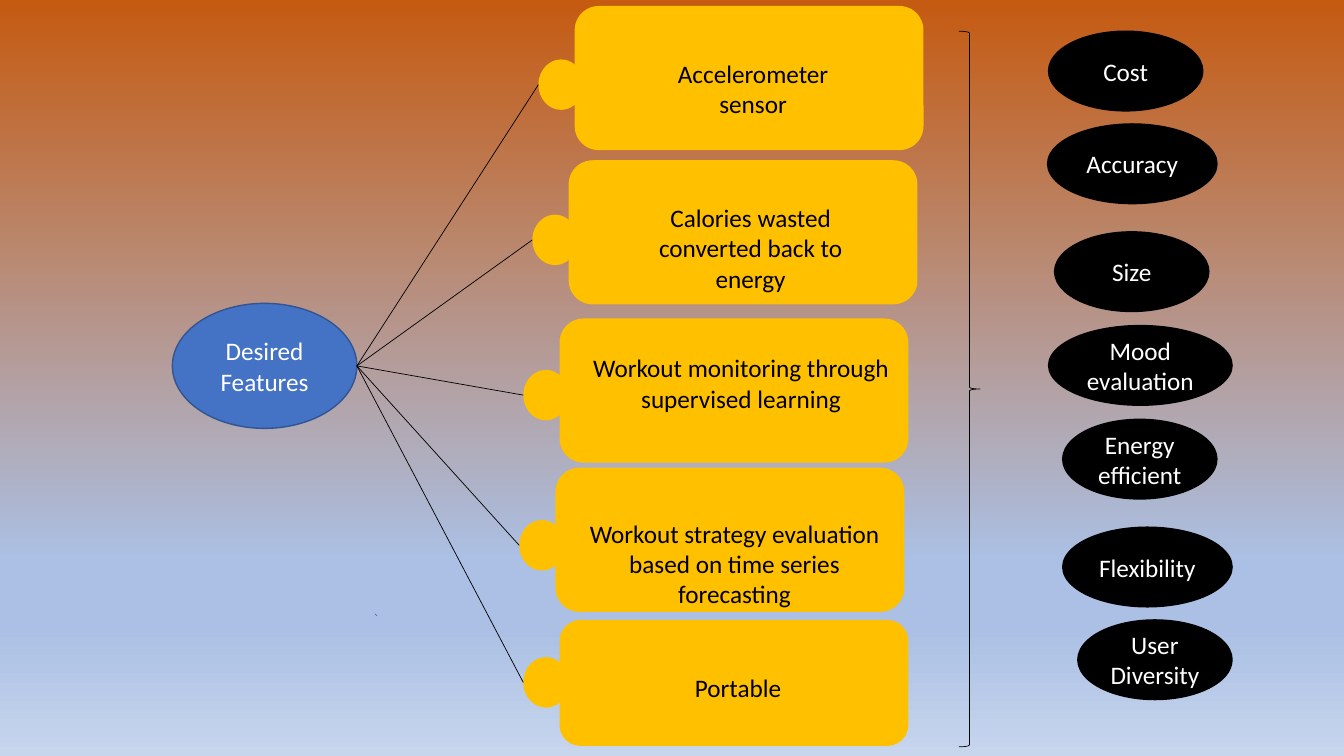
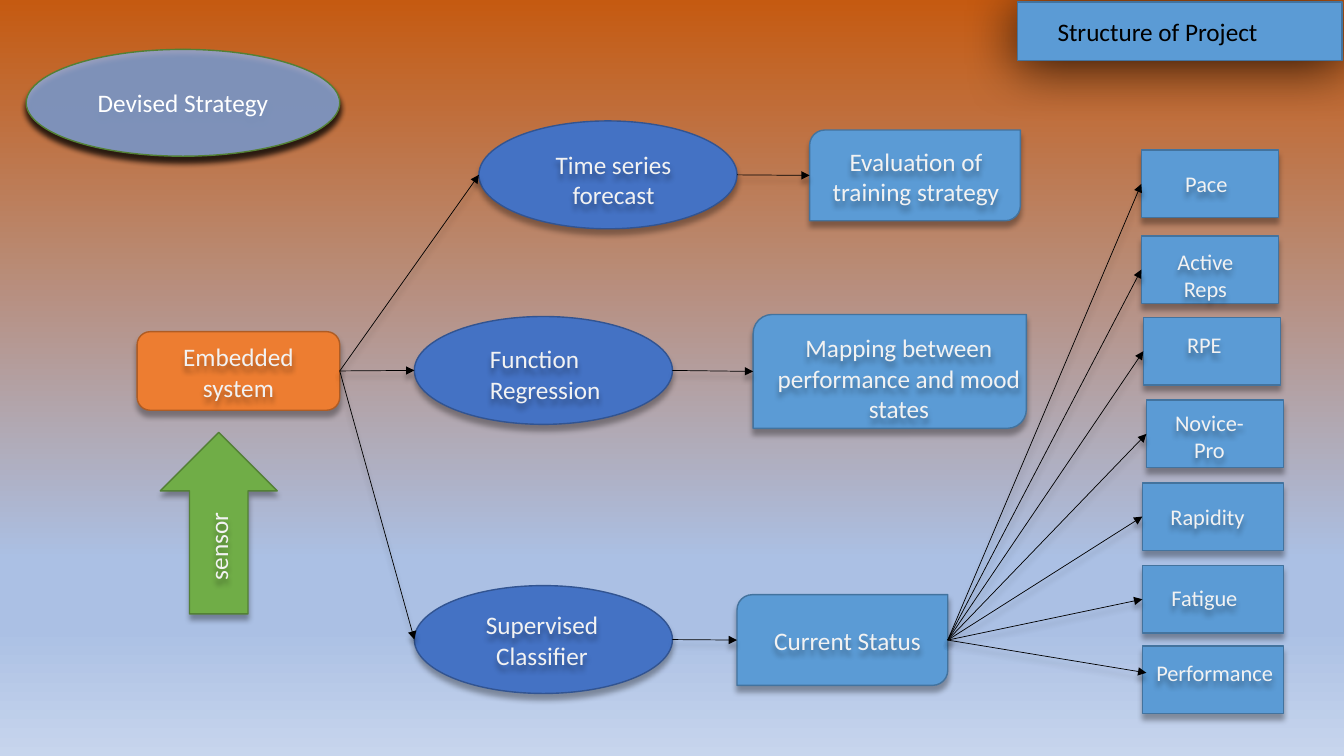
"""Build two slides: desired features and the project structure."""
import lxml.etree
import pptx
import pptx.dml.color
import pptx.enum.shapes
import pptx.enum.text
import pptx.oxml.ns
import pptx.util

RGB = pptx.dml.color.RGBColor
Inches = pptx.util.Inches
SHAPE = pptx.enum.shapes.MSO_SHAPE
ALIGN = pptx.enum.text.PP_ALIGN
qn = pptx.oxml.ns.qn

BLACK, WHITE, PALE = RGB(0, 0, 0), RGB(255, 255, 255), RGB(0xF2, 0xF2, 0xF2)
GOLD = RGB(0xFF, 0xC0, 0x00)
BLUE, BLUE_EDGE = RGB(0x44, 0x72, 0xC4), RGB(0x32, 0x54, 0x91)
SKY, SKY_EDGE = RGB(0x5B, 0x9B, 0xD5), RGB(0x43, 0x73, 0x9E)
ORANGE, ORANGE_EDGE = RGB(0xED, 0x7D, 0x31), RGB(0xAF, 0x5C, 0x24)
GREEN, GREEN_EDGE = RGB(0x70, 0xAD, 0x47), RGB(0x53, 0x80, 0x35)
PERIWINKLE = RGB(0x8F, 0xAA, 0xDC)
BACKDROP = [(0, RGB(0xC5, 0x5A, 0x11)), (74, RGB(0xAB, 0xC0, 0xE4)),
            (83, RGB(0xAB, 0xC0, 0xE4)), (100, RGB(0xC7, 0xD5, 0xED))]

FONT = "Calibri"
SOFT, STRONG, WIDE = (33, 4, 4), (92, 4, 4), (79, 40, 4)

FEATURE_WIDTH = 3.46
DOT_WIDTH, DOT_HEIGHT, DOT_REACH = 0.45, 0.5, 0.36
HUB = (1.71, 3.01, 1.83, 1.24)
FEATURES = [
    ("Accelerometer\nsensor", 5.7, 0.06, 1.43, 0.84, (6.31, 0.53, 2.32, 0.71)),
    ("Calories wasted converted back to energy", 5.64, 1.59, 1.43, 2.38,
     (6.32, 1.96, 2.25, 1.01)),
    ("Workout monitoring through supervised learning", 5.55, 3.16, 1.43, 3.92,
     (5.62, 3.45, 3.46, 0.71)),
    ("Workout strategy evaluation based on time series forecasting", 5.51, 4.64, 1.43, 5.41,
     (5.69, 5.09, 3.19, 1.01)),
    ("Portable", 5.55, 6.15, 1.25, 6.77, (6.16, 6.62, 2.32, 0.4)),
]
QUALITY_HEIGHT = 0.79
QUALITIES = [
    ("Cost", 10.4, 0.31, 1.53), ("Accuracy", 10.39, 1.23, 1.68),
    ("Size", 10.46, 2.3, 1.53), ("Mood evaluation", 10.4, 3.23, 1.82),
    ("Energy efficient", 10.54, 4.16, 1.53), ("Flexibility", 10.54, 5.23, 1.68),
    ("User Diversity", 10.69, 6.15, 1.53),
]

SYSTEM = (1.36, 3.29, 2.01, 0.78)
METHOD_SIZE = (2.56, 1.07)
BRANCHES = [
    (("Time series forecast", 4.75, 1.2, (5.31, 1.43, 1.55, 0.71), ALIGN.CENTER),
     ("Evaluation of training strategy", (8.03, 1.29, 2.09, 0.9),
      (8.12, 1.4, 1.93, 0.71), ALIGN.CENTER)),
    (("Function Regression", 4.11, 3.14, (4.76, 3.36, 1.68, 0.71), ALIGN.LEFT),
     ("Mapping between performance and mood states", (7.47, 3.12, 2.71, 1.13),
      (7.59, 3.25, 2.65, 1.01), ALIGN.CENTER)),
    (("Supervised Classifier", 4.11, 5.81, (4.43, 6, 1.89, 0.71), ALIGN.CENTER),
     ("Current Status", (7.31, 5.9, 2.09, 0.9), (7.58, 6.15, 1.66, 0.4), ALIGN.LEFT)),
]
STATUS_HEIGHT = 0.67
STATUSES = [
    ("Pace", 11.32, 1.49, 1.36, (11.47, 1.64, 0.99, 0.37), ALIGN.CENTER),
    ("Active Reps", 11.32, 2.34, 1.36, (11.46, 2.41, 0.99, 0.64), ALIGN.CENTER),
    ("RPE", 11.34, 3.15, 1.36, (11.45, 3.24, 0.99, 0.37), ALIGN.CENTER),
    ("Novice-Pro", 11.37, 3.97, 1.36, (11.5, 4.01, 0.99, 0.64), ALIGN.CENTER),
    ("Rapidity", 11.33, 4.79, 1.4, (11.51, 4.94, 1.01, 0.37), ALIGN.LEFT),
    ("Fatigue", 11.33, 5.61, 1.4, (11.52, 5.75, 0.99, 0.37), ALIGN.LEFT),
    ("Performance", 11.33, 6.41, 1.4, (11.37, 6.49, 1.4, 0.37), ALIGN.LEFT),
]
TIP_SHIFTS = {"Performance": (0.04, -0.07)}


def add_element(parent, tag, **attributes):
    return lxml.etree.SubElement(parent, qn(tag), attributes)


def add_color(parent, color, alpha=None):
    node = add_element(parent, "a:srgbClr", val=str(color))
    if alpha is not None:
        add_element(node, "a:alpha", val=str(alpha * 1000))


def set_shadow(item, shadow):
    effects = add_element(item.element.spPr, "a:effectLst")
    if shadow:
        alpha, blur, distance = shadow
        outer = add_element(effects, "a:outerShdw", blurRad=str(pptx.util.Pt(blur)),
                            dist=str(pptx.util.Pt(distance)), dir="5400000",
                            algn="t", rotWithShape="0")
        add_color(outer, BLACK, alpha)


def write(box, text, color, size=18, align=ALIGN.CENTER):
    frame = box.text_frame
    frame.word_wrap = True
    frame.text = text
    for para in frame.paragraphs:
        para.alignment = align
        para.font.name = FONT
        para.font.size = pptx.util.Pt(size)
        para.font.color.rgb = color


def add_box(page, kind, place, fill=None, edge=None, shadow=None, text=None,
            edge_width=1, alpha=None):
    box = page.shapes.add_shape(kind, *map(Inches, place))
    if fill is None:
        box.fill.background()
    else:
        box.fill.solid()
        box.fill.fore_color.rgb = fill
    if alpha is not None:
        color = box.element.spPr.find(qn("a:solidFill"))[0]
        add_element(color, "a:alpha", val=str(alpha * 1000))
    if edge is None:
        box.line.fill.background()
    else:
        box.line.color.rgb = edge
        box.line.width = pptx.util.Pt(edge_width)
    set_shadow(box, shadow)
    if text:
        write(box, text, WHITE)


def add_label(page, text, place, color=PALE, size=18, align=ALIGN.CENTER,
              shadow=None, rotation=0):
    box = page.shapes.add_textbox(*map(Inches, place))
    write(box, text, color, size, align)
    box.text_frame.auto_size = pptx.enum.text.MSO_AUTO_SIZE.SHAPE_TO_FIT_TEXT
    box.rotation = rotation
    set_shadow(box, shadow)


def add_line(page, start, end, color=BLACK, arrow=False):
    line = page.shapes.add_connector(pptx.enum.shapes.MSO_CONNECTOR.STRAIGHT,
                                     *map(Inches, (*start, *end)))
    line.line.color.rgb = color
    line.line.width = pptx.util.Pt(0.5)
    if arrow:
        add_element(line.line._get_or_add_ln(), "a:tailEnd", type="triangle")
    set_shadow(line, SOFT if arrow else None)


def left_middle(place):
    left, top, _, height = place
    return left, top + height / 2


def right_middle(place):
    left, top, width, height = place
    return left + width, top + height / 2


def add_page(deck):
    page = deck.slides.add_slide(deck.slide_layouts[6])
    fill = page.background.fill
    fill.gradient()
    fill.gradient_angle = 270
    stops = page.element.find(".//" + qn("a:gsLst"))
    for stop in list(stops):
        stops.remove(stop)
    for position, color in BACKDROP:
        add_color(add_element(stops, "a:gs", pos=str(position * 1000)), color)
    return page


def build_features(page):
    add_box(page, SHAPE.OVAL, HUB, BLUE, BLUE_EDGE, text="Desired Features")
    for text, left, top, height, dot_middle, label in FEATURES:
        dot = (left - DOT_REACH, dot_middle - DOT_HEIGHT / 2, DOT_WIDTH, DOT_HEIGHT)
        add_box(page, SHAPE.OVAL, dot, GOLD)
        add_box(page, SHAPE.ROUNDED_RECTANGLE, (left, top, FEATURE_WIDTH, height), GOLD)
        add_label(page, text, label, BLACK)
        add_line(page, right_middle(HUB), left_middle(dot))
    add_line(page, (3.72, 6.09), (3.74, 6.11), BLUE)
    add_box(page, SHAPE.RIGHT_BRACE, (9.51, 0.31, 0.21, 7.1), edge=BLACK, edge_width=0.5)
    for text, left, top, width in QUALITIES:
        add_box(page, SHAPE.OVAL, (left, top, width, QUALITY_HEIGHT), BLACK, BLACK, text=text)


def build_structure(page):
    add_box(page, SHAPE.OVAL, (0.26, 0.49, 3.11, 1.06), PERIWINKLE, GREEN_EDGE, STRONG,
            "Devised Strategy", alpha=83)
    add_box(page, SHAPE.ROUNDED_RECTANGLE, SYSTEM, ORANGE, ORANGE_EDGE, SOFT)
    add_label(page, "Embedded system", (1.6, 3.34, 1.53, 0.71), shadow=SOFT)
    add_box(page, SHAPE.UP_ARROW, (1.59, 4.29, 1.16, 1.8), GREEN, GREEN_EDGE, SOFT)
    add_label(page, "sensor", (1.63, 5.12, 1.07, 0.4), align=ALIGN.LEFT,
              shadow=SOFT, rotation=270)
    for (method, left, top, method_label, method_align), outcome in BRANCHES:
        result, result_place, result_label, result_align = outcome
        method_place = (left, top, *METHOD_SIZE)
        add_box(page, SHAPE.OVAL, method_place, BLUE, BLUE_EDGE, SOFT)
        add_box(page, SHAPE.ROUND_2_DIAG_RECTANGLE, result_place, SKY, SKY_EDGE, SOFT)
        add_line(page, right_middle(SYSTEM), left_middle(method_place), arrow=True)
        add_line(page, right_middle(method_place), left_middle(result_place), arrow=True)
        add_label(page, method, method_label, align=method_align, shadow=SOFT)
        add_label(page, result, result_label, align=result_align, shadow=SOFT)
    current_status = BRANCHES[-1][1][1]
    for text, left, top, width, label, align in STATUSES:
        place = (left, top, width, STATUS_HEIGHT)
        add_box(page, SHAPE.RECTANGLE, place, SKY, SKY_EDGE, SOFT)
        tip_x, tip_y = left_middle(place)
        shift_x, shift_y = TIP_SHIFTS.get(text, (0, 0))
        add_line(page, right_middle(current_status), (tip_x + shift_x, tip_y + shift_y),
                 arrow=True)
        add_label(page, text, label, size=16, align=align, shadow=SOFT)
    add_box(page, SHAPE.RECTANGLE, (10.09, 0.02, 3.22, 0.58), SKY, SKY_EDGE, WIDE)
    add_label(page, "Structure of Project", (10.39, 0.11, 2.91, 0.4), BLACK, align=ALIGN.LEFT)


def main():
    deck = pptx.Presentation()
    deck.slide_width, deck.slide_height = Inches(13.33), Inches(7.5)
    for build in (build_features, build_structure):
        build(add_page(deck))
    deck.save("out.pptx")


if __name__ == "__main__":
    main()
